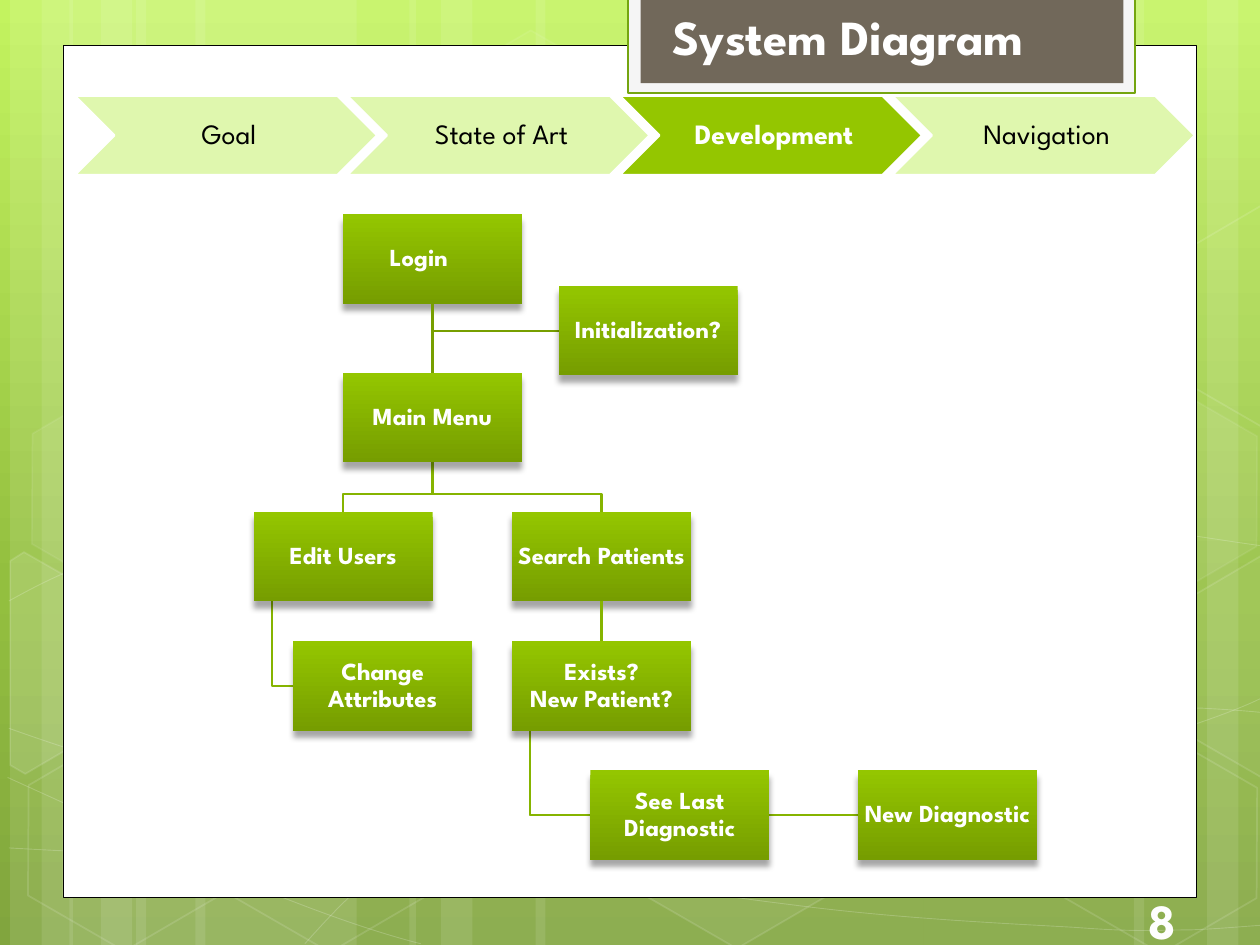
from copy import deepcopy
from dataclasses import dataclass
from math import cos, radians, sin
from typing import NamedTuple

from lxml.etree import SubElement
from pptx import Presentation
from pptx.dml.color import RGBColor
from pptx.enum.shapes import MSO_CONNECTOR as Link, MSO_SHAPE as Preset
from pptx.enum.text import MSO_ANCHOR as Anchor, MSO_AUTO_SIZE as AutoSize, PP_ALIGN as Align
from pptx.oxml.ns import qn
from pptx.util import Inches, Pt

FONT = "League Spartan"
WHITE, BLACK, GREEN, DARK_GREEN = "FFFFFF", "000000", "94C600", "769D00"
TRUNK, BRANCH = "779F00", "86B400"
COLUMNS, ROWS, CELL = 100, 75, Inches(0.1)
TILT = 30
BOX_WIDTH, BOX_HEIGHT = 14.2, 7.1
STEP_LEFT, STEP_TOP, STEP_PITCH, STEP_WIDTH, STEP_HEIGHT = 5.93, 7.6, 21.63, 24, 6.3

Point = tuple[float, float]


class Area(NamedTuple):
    """A rectangle in grid columns and rows."""
    left: float
    top: float
    width: float
    height: float


@dataclass(frozen=True)
class Hexagon:
    """A tilted background hexagon with its fill and edge opacity in percent."""
    left: float
    top: float
    fill: int
    edge: int


@dataclass(frozen=True)
class Cut:
    """A tilted hexagon cut off by the slide's edge, with the centre it turns about."""
    centre: Point
    points: tuple[Point, ...]
    fill: int


@dataclass(frozen=True)
class Box:
    """A box of the diagram with the points where lines meet it."""
    label: str
    left: float
    top: float

    @property
    def centre(self) -> float:
        return self.left + BOX_WIDTH / 2

    @property
    def middle(self) -> float:
        return self.top + BOX_HEIGHT / 2

    @property
    def bottom(self) -> float:
        return self.top + BOX_HEIGHT


@dataclass(frozen=True)
class Step:
    """A chevron of the progress bar."""
    label: str
    current: bool = False


STRIPES = ((10.8, 17.5), (0.8, 5), (3.3, 8.3), (15.5, 17.5), (5.5, 5), (8, 8.3),
           (73.3, 17.5), (95.8, 5), (90, 8.3), (42.5, 30.8), (32.5, 5), (35, 8.3))
WAVES = (
    ((0.7, 67.3), (6.1, 67.6), (11.5, 67.9), (19, 67.8), (26.5, 67.7), (35.8, 67.5), (45.8, 66.5),
     (55.8, 65.5), (70, 63.6), (79.2, 61.7), (88.3, 59.8), (97.7, 56.8), (100.7, 55.1)),
    ((0.7, 47.7), (3.6, 46.1), (6.5, 44.6), (12.1, 43.1), (17.8, 41.6), (25.9, 39.4), (34.7, 38.7),
     (43.6, 38), (54.4, 37.9), (65.4, 38.7), (76.4, 39.5), (94.7, 42.6), (100.7, 43.4)),
    ((0.6, 61.7), (12.7, 67.2), (24.7, 72.7), (33.4, 74.9)),
    ((0.7, 57.8), (3.8, 58.9), (7, 60), (12.8, 61.6), (18.6, 63.1), (27.3, 65.6), (35.7, 67.3),
     (44, 69), (54.5, 70.8), (62.8, 71.8), (71.1, 72.9), (80, 73.3), (85.3, 73.6),
     (90.5, 74), (91.9, 73.8), (94.5, 73.8), (97.1, 73.7), (98.9, 73.5), (100.7, 73.4)),
    ((24.2, 74.9), (26, 72.9), (27.8, 70.9), (30.2, 69.1), (32.6, 67.3), (36, 65.3), (38.8, 63.9),
     (41.6, 62.5), (43.3, 61.9), (47, 60.9), (50.6, 59.9), (57.3, 58.5), (60.8, 57.8),
     (64.4, 57.1), (64.9, 57.1), (68, 56.9), (71.1, 56.6), (76, 56.3), (79.4, 56.2),
     (82.9, 56.1), (88.6, 56.2), (88.6, 56.2), (90.8, 56.2), (93, 56.2), (95.3, 56.2),
     (97.1, 56.3), (98.8, 56.4), (100.6, 56.6)),
)
HEXAGONS = (Hexagon(33.4, 3.6, 4, 8), Hexagon(49.7, 58.9, 6, 12), Hexagon(1.1, 59.1, 0, 12),
            Hexagon(1.4, 31.2, 7, 8), Hexagon(17.4, 59.2, 0, 12), Hexagon(75.3, 45.3, 10, 12),
            Hexagon(83.4, 59.3, 0, 12), Hexagon(83.4, 31.4, 7, 8))
CUTS = (
    Cut((3.6, 53.5), ((0.8, 44.5), (1.9, 43.8), (9.6, 48.2), (9.5, 57), (2, 61.4), (0.8, 60.7)), 10),
    Cut((98.5, 52), ((92.6, 48.5), (100.1, 44.1), (100.9, 44.6), (100.9, 61.3), (100.2, 61.7), (92.6, 57.3)), 4),
    Cut((98.5, 24.1), ((92.6, 20.7), (100.1, 16.3), (101, 16.8), (100.9, 33.5), (100.2, 33.9), (92.6, 29.5)), 0),
)
LOGIN = Box("Login\t", 27.22, 17)
MENU = Box("Main Menu", 27.22, 29.6)
USERS = Box("Edit Users", 20.14, 40.64)
ATTRIBUTES = Box("Change Attributes", 23.27, 50.9)
SEARCH = Box("Search Patients", 40.64, 40.64)
EXISTS = Box("Exists?\nNew Patient?", 40.64, 50.9)
LAST = Box("See Last Diagnostic", 46.85, 61.13)
NEW = Box("New Diagnostic", 68.1, 61.13)
START = Box("Initialization?", 44.34, 22.7)
BOXES = (LOGIN, MENU, USERS, ATTRIBUTES, SEARCH, EXISTS, LAST, NEW, START)
STEPS = (Step("Goal"), Step("State of Art"), Step("Development", True), Step("Navigation"))


def cells(*counts: float) -> list[int]:
    """Turn grid counts into lengths."""
    return [round(count * CELL) for count in counts]


def colour(hex_code: str) -> RGBColor:
    """Read a hex string as a colour."""
    return RGBColor.from_string(hex_code)


def paint(shape, fill: str = "", edge: str = "", weight: float = 1,
          fill_opacity: int = 100, edge_opacity: int = 100):
    """Set fill and edge, leaving out whichever is empty."""
    shape.shadow.inherit = False
    for target, tone, opacity in ((shape.fill, fill, fill_opacity), (shape.line.fill, edge, edge_opacity)):
        if not tone or not opacity:
            target.background()
            continue
        target.solid()
        target.fore_color.rgb = colour(tone)
        if opacity < 100:
            newest = list(shape.element.iter(qn("a:srgbClr")))[-1]
            SubElement(newest, qn("a:alpha"), val=str(opacity * 1000))
    if edge:
        shape.line.width = Pt(weight)
    return shape


def shade(fill, owner, stops: tuple[tuple[float, str], ...]) -> None:
    """Fill with a gradient running downwards."""
    fill.gradient()
    fill.gradient_angle = 270
    stop_list = next(owner.iter(qn("a:gsLst")))
    while len(stop_list) < len(stops):
        stop_list.append(deepcopy(stop_list[-1]))
    for stop, (position, tone) in zip(fill.gradient_stops, stops):
        stop.position = position
        stop.color.rgb = colour(tone)


def add_preset(slide, preset: Preset, area: Area):
    """Place a preset shape on the grid."""
    return slide.shapes.add_shape(preset, *cells(*area))


def add_outline(slide, points, closed: bool = False):
    """Draw straight segments through grid points."""
    first, *rest = [tuple(cells(*point)) for point in points]
    builder = slide.shapes.build_freeform(*first)
    builder.add_line_segments(rest, close=closed)
    return builder.convert_to_shape()


def add_curve(slide, knots: tuple[Point, ...]):
    """Draw a chain of cubic curves, three knots to each."""
    shape = add_outline(slide, knots)
    track = next(shape.element.iter(qn("a:path")))
    segments = track.findall(qn("a:lnTo"))
    for start in range(0, len(segments), 3):
        bend = SubElement(track, qn("a:cubicBezTo"))
        for segment in segments[start:start + 3]:
            bend.append(segment[0])
            track.remove(segment)
    return shape


def upright(point: Point, centre: Point) -> Point:
    """Turn a point back by the tilt."""
    across, down = point[0] - centre[0], point[1] - centre[1]
    cosine, sine = cos(radians(TILT)), sin(radians(TILT))
    return centre[0] + across * cosine + down * sine, centre[1] + down * cosine - across * sine


def write(shape, text: str, size: float, tone: str, bold: bool = True, align: Align = Align.LEFT,
          anchor: Anchor = Anchor.MIDDLE, insets: Area = Area(1, 0.5, 1, 0.5), spacing: float = 1) -> None:
    """Put one formatted paragraph in a shape."""
    frame = shape.text_frame
    frame.word_wrap, frame.vertical_anchor = True, anchor
    frame.margin_left, frame.margin_top, frame.margin_right, frame.margin_bottom = cells(*insets)
    paragraph = frame.paragraphs[0]
    paragraph.text = text
    paragraph.alignment, paragraph.line_spacing = align, spacing
    next(shape.element.iter(qn("a:pPr"))).set("defTabSz", str(Pt(3.5 * size)))
    for run in paragraph.runs:
        run.font.name, run.font.size, run.font.bold = FONT, Pt(size), bold
        run.font.color.rgb = colour(tone)


def draw_backdrop(slide) -> None:
    """Draw the green backdrop and the white page."""
    shade(slide.background.fill, slide.element, ((0, "C3F35F"), (0.62, "93BF3F"), (1, "81A53E")))
    for left, width in STRIPES:
        paint(add_preset(slide, Preset.RECTANGLE, Area(left, 0, width, ROWS)), WHITE, fill_opacity=10)
    for wave in WAVES:
        paint(add_curve(slide, wave), edge=WHITE, weight=0.5, edge_opacity=20)
    for item in HEXAGONS:
        hexagon = add_preset(slide, Preset.HEXAGON, Area(item.left, item.top, 17.5, 15.2))
        hexagon.adjustments[0], hexagon.rotation = 0.285, TILT
        paint(hexagon, WHITE, WHITE, 1, item.fill, item.edge)
    for cut in CUTS:
        piece = add_outline(slide, [upright(point, cut.centre) for point in cut.points], closed=True)
        piece.rotation = TILT
        paint(piece, WHITE, WHITE, 1, cut.fill, 12)
    paint(add_preset(slide, Preset.RECTANGLE, Area(5, 3.6, 90, 67.64)), WHITE, BLACK, 0.5)


def draw_heading(slide) -> None:
    """Draw the title tab and the page number."""
    paint(add_preset(slide, Preset.RECTANGLE, Area(49.87, -0.2, 40.2, 7.6)), "F5F5F5", "74A510", 1.25)
    paint(add_preset(slide, Preset.RECTANGLE, Area(50.84, -0.2, 38.33, 6.8)), "71685A")
    title = slide.shapes.add_textbox(*cells(52.4, 0, 36.2, 5.7))
    write(title, "System Diagram", 28, WHITE, anchor=Anchor.TOP)
    title.text_frame.auto_size = AutoSize.SHAPE_TO_FIT_TEXT
    page_number = slide.shapes.add_textbox(*cells(90.2, 71, 14.6, 4))
    write(page_number, "8", 28, "FEFEFE")


def draw_box(slide, box: Box):
    """Draw a shaded box with a soft shadow below."""
    shape = paint(add_preset(slide, Preset.RECTANGLE, Area(box.left, box.top, BOX_WIDTH, BOX_HEIGHT)))
    shade(shape.fill, shape.element, ((0, GREEN), (1, DARK_GREEN)))
    shadow = SubElement(next(shape.element.iter(qn("a:effectLst"))), qn("a:outerShdw"), blurRad=str(Pt(3.5)),
                        dist=str(Pt(4)), dir="5400000", rotWithShape="0")
    SubElement(SubElement(shadow, qn("a:srgbClr"), val=BLACK), qn("a:alpha"), val="34000")
    write(shape, box.label, 14, WHITE, align=Align.CENTER, insets=Area(0.1, 0.1, 0.1, 0.1), spacing=0.9)
    return shape


def draw_diagram(slide) -> None:
    """Draw the boxes and the lines between them."""
    for parent, child, share, tone in ((LOGIN, START, 0.5, TRUNK), (EXISTS, NEW, 0.1, BRANCH),
                                       (EXISTS, LAST, 0.1, BRANCH), (USERS, ATTRIBUTES, 0.1, BRANCH)):
        drop = parent.left + share * BOX_WIDTH
        points = ((drop, parent.bottom), (drop, child.middle), (child.left, child.middle))
        paint(add_outline(slide, points), edge=tone, weight=1.25)
    for child in (SEARCH, USERS):
        bend = child.top - 1.45
        points = ((MENU.centre, MENU.bottom), (MENU.centre, bend), (child.centre, bend), (child.centre, child.top))
        paint(add_outline(slide, points), edge=BRANCH, weight=1.25)
    drawn = {box: draw_box(slide, box) for box in BOXES}
    for parent, child, tone in ((LOGIN, MENU, TRUNK), (SEARCH, EXISTS, BRANCH)):
        link = slide.shapes.add_connector(Link.STRAIGHT, 0, 0, 0, 0)
        link.begin_connect(drawn[parent], 2)
        link.end_connect(drawn[child], 0)
        link.line.color.rgb, link.line.width = colour(tone), Pt(1.25)
        SubElement(link.element.spPr, qn("a:effectLst"))


def draw_steps(slide) -> None:
    """Draw the progress bar of chevrons."""
    for index, step in enumerate(STEPS):
        area = Area(STEP_LEFT + index * STEP_PITCH, STEP_TOP, STEP_WIDTH, STEP_HEIGHT)
        chevron = paint(add_preset(slide, Preset.CHEVRON, area), GREEN if step.current else "DFF7AE", WHITE, 1.25)
        write(chevron, step.label, 16, WHITE if step.current else BLACK, step.current, Align.CENTER,
              insets=Area(0.7, 0.2, 0.2, 0.2), spacing=0.9)


def main() -> None:
    """Build and save the slide."""
    deck = Presentation()
    deck.slide_width, deck.slide_height = cells(COLUMNS, ROWS)
    slide = deck.slides.add_slide(deck.slide_layouts[6])
    for draw in (draw_backdrop, draw_heading, draw_diagram, draw_steps):
        draw(slide)
    deck.save("out.pptx")


if __name__ == "__main__":
    main()
